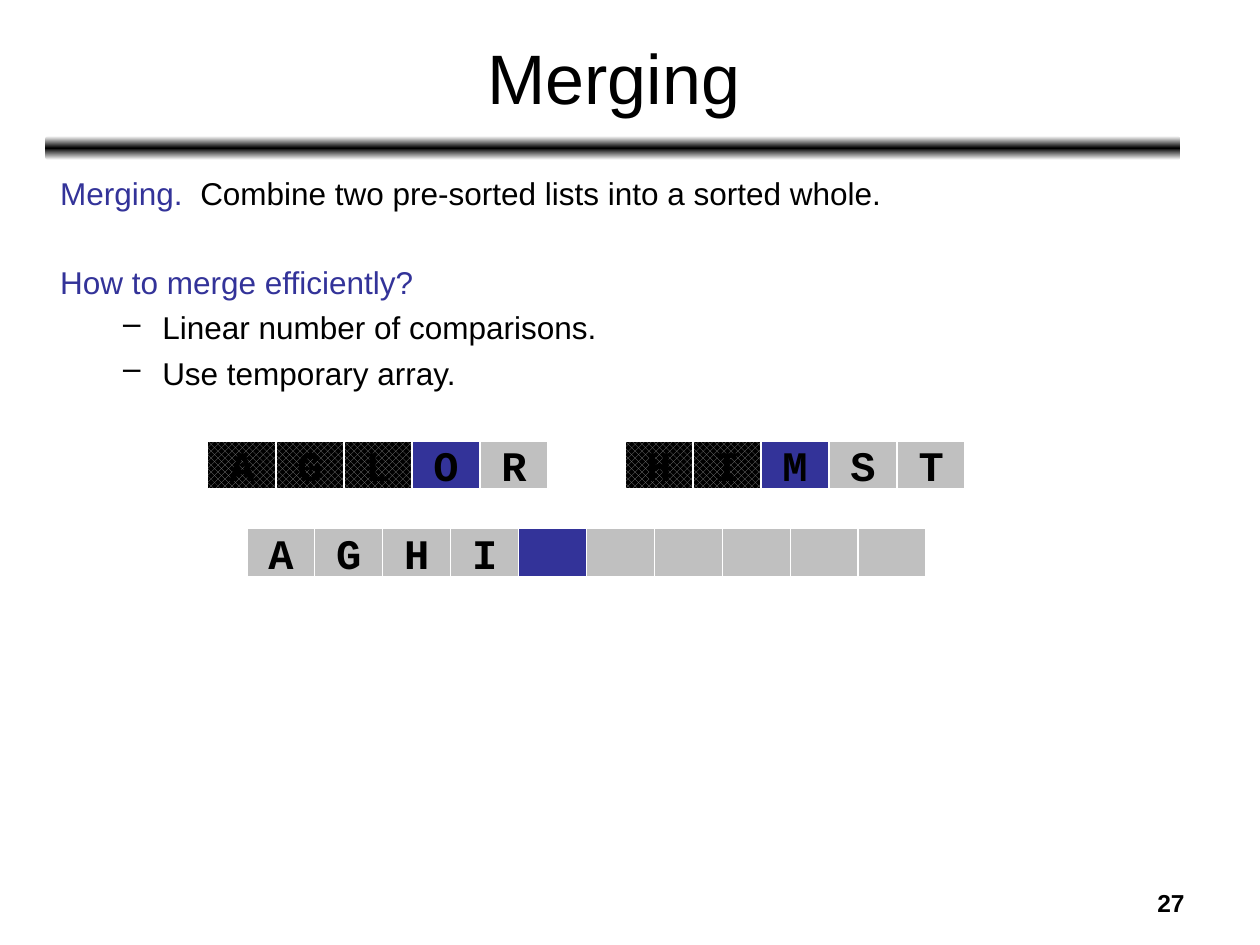
import copy

import pptx
import pptx.dml.color
import pptx.enum.shapes
import pptx.enum.text
import pptx.oxml
import pptx.oxml.ns
import pptx.util

Inches = pptx.util.Inches
Pt = pptx.util.Pt
ALIGN = pptx.enum.text.PP_ALIGN
ANCHOR = pptx.enum.text.MSO_ANCHOR
SHAPES = pptx.enum.shapes.MSO_SHAPE

COLORS = {
    "text": "000000",
    "accent": "333399",
    "cell": "C0C0C0",
    "hatch": "808080",
    "white": "FFFFFF",
}


def rgb(name):
    return pptx.dml.color.RGBColor.from_string(COLORS[name])


def add_run(paragraph, text, size, color="text", font="Arial", bold=False):
    run = paragraph.add_run()
    run.text = text
    run.font.size = Pt(size)
    run.font.name = font
    run.font.bold = bold
    run.font.color.rgb = rgb(color)


def add_text_frame(slide, left, top, width, height):
    box = slide.shapes.add_textbox(Inches(left), Inches(top), Inches(width), Inches(height))
    box.text_frame.word_wrap = True
    return box.text_frame


def add_shape(slide, kind, left, top, width, height):
    shape = slide.shapes.add_shape(
        kind, Inches(left), Inches(top), Inches(width), Inches(height))
    shape.shadow.inherit = False
    return shape


def add_title(slide, left, top, width, height):
    frame = add_text_frame(slide, left, top, width, height)
    frame.vertical_anchor = ANCHOR.MIDDLE
    paragraph = frame.paragraphs[0]
    paragraph.alignment = ALIGN.CENTER
    add_run(paragraph, "Merging", 40)


def add_divider(slide, left, top, width, height):
    bar = add_shape(slide, SHAPES.ROUNDED_RECTANGLE, left, top, width, height)
    bar.line.fill.background()
    bar.fill.gradient()
    bar.fill.gradient_angle = 90
    edge, middle = bar.fill.gradient_stops
    edge.color.rgb, edge.position = rgb("white"), 0
    middle.color.rgb, middle.position = rgb("text"), 0.5
    # Third stop: the outer edge again at the far end
    stops = bar._element.spPr.find(".//" + pptx.oxml.ns.qn("a:gsLst"))
    last = copy.deepcopy(stops[0])
    last.set("pos", "100000")
    stops.append(last)


def make_bullet(paragraph):
    properties = paragraph._p.get_or_add_pPr()
    properties.set("marL", str(Inches(0.81)))
    properties.set("indent", str(Inches(-0.31)))
    bullet = pptx.oxml.parse_xml(
        '<a:buChar %s char="–"/>' % pptx.oxml.ns.nsdecls("a"))
    properties.append(bullet)


def add_body(slide, left, top, width, height):
    line_gap, section_gap = 4.3, 29.3
    # Space before, bulleted, runs
    paragraphs = [
        (line_gap, False, [("Merging.  ", "accent"),
                           ("Combine two pre-sorted lists into a sorted whole.", "text")]),
        (section_gap, False, [("How to merge efficiently?", "accent")]),
        (line_gap, True, [("Linear number of comparisons.", "text")]),
        (line_gap, True, [("Use temporary array.", "text")]),
    ]
    frame = add_text_frame(slide, left, top, width, height)
    for index, (gap, bulleted, runs) in enumerate(paragraphs):
        paragraph = frame.add_paragraph() if index else frame.paragraphs[0]
        paragraph.space_before = Pt(gap)
        if bulleted:
            paragraph.level = 1
            make_bullet(paragraph)
        for text, color in runs:
            add_run(paragraph, text, 18, color)


def hatch_cell(cell):
    cell.fill.patterned()
    cell.fill.fore_color.rgb = rgb("hatch")
    cell.fill.back_color.rgb = rgb("text")
    cell._element.spPr.find(pptx.oxml.ns.qn("a:pattFill")).set("prst", "openDmnd")


def add_array(slide, left, top, width, height, letters, current, used=0):
    """Draw a row of cells: the first `used` hatched, the current one accented."""
    cell_width = width / len(letters)
    for index, letter in enumerate(letters):
        cell = add_shape(slide, SHAPES.RECTANGLE, left + index * cell_width, top,
                         cell_width, height)
        cell.line.color.rgb = rgb("white")
        cell.line.width = Pt(0.75)
        if index < used:
            hatch_cell(cell)
        else:
            cell.fill.solid()
            cell.fill.fore_color.rgb = rgb("accent" if index == current else "cell")
        if letter != " ":
            frame = cell.text_frame
            frame.word_wrap = False
            frame.vertical_anchor = ANCHOR.MIDDLE
            paragraph = frame.paragraphs[0]
            paragraph.alignment = ALIGN.CENTER
            add_run(paragraph, letter, 24, font="Courier New", bold=True)


def add_page_number(slide, left, top, width, height):
    paragraph = add_text_frame(slide, left, top, width, height).paragraphs[0]
    paragraph.alignment = ALIGN.RIGHT
    add_run(paragraph, "27", 14, bold=True)


def main():
    presentation = pptx.Presentation()
    presentation.slide_width = Inches(10)
    presentation.slide_height = Inches(7.5)
    slide = presentation.slides.add_slide(presentation.slide_layouts[6])

    # Heading and text
    add_divider(slide, 0.36, 1.08, 9.01, 0.19)
    add_title(slide, 0.37, 0.11, 9, 0.99)
    add_body(slide, 0.38, 1.33, 9, 5.55)
    add_page_number(slide, 7.17, 7, 2.33, 0.35)

    # Two sorted inputs above the merged output
    add_array(slide, 1.65, 3.5, 2.7, 0.38, "AGLOR", current=3, used=3)
    add_array(slide, 4.96, 3.5, 2.7, 0.38, "HIMST", current=2, used=2)
    add_array(slide, 1.96, 4.19, 5.39, 0.39, "AGHI".ljust(10), current=4)

    presentation.save("out.pptx")


if __name__ == "__main__":
    main()
